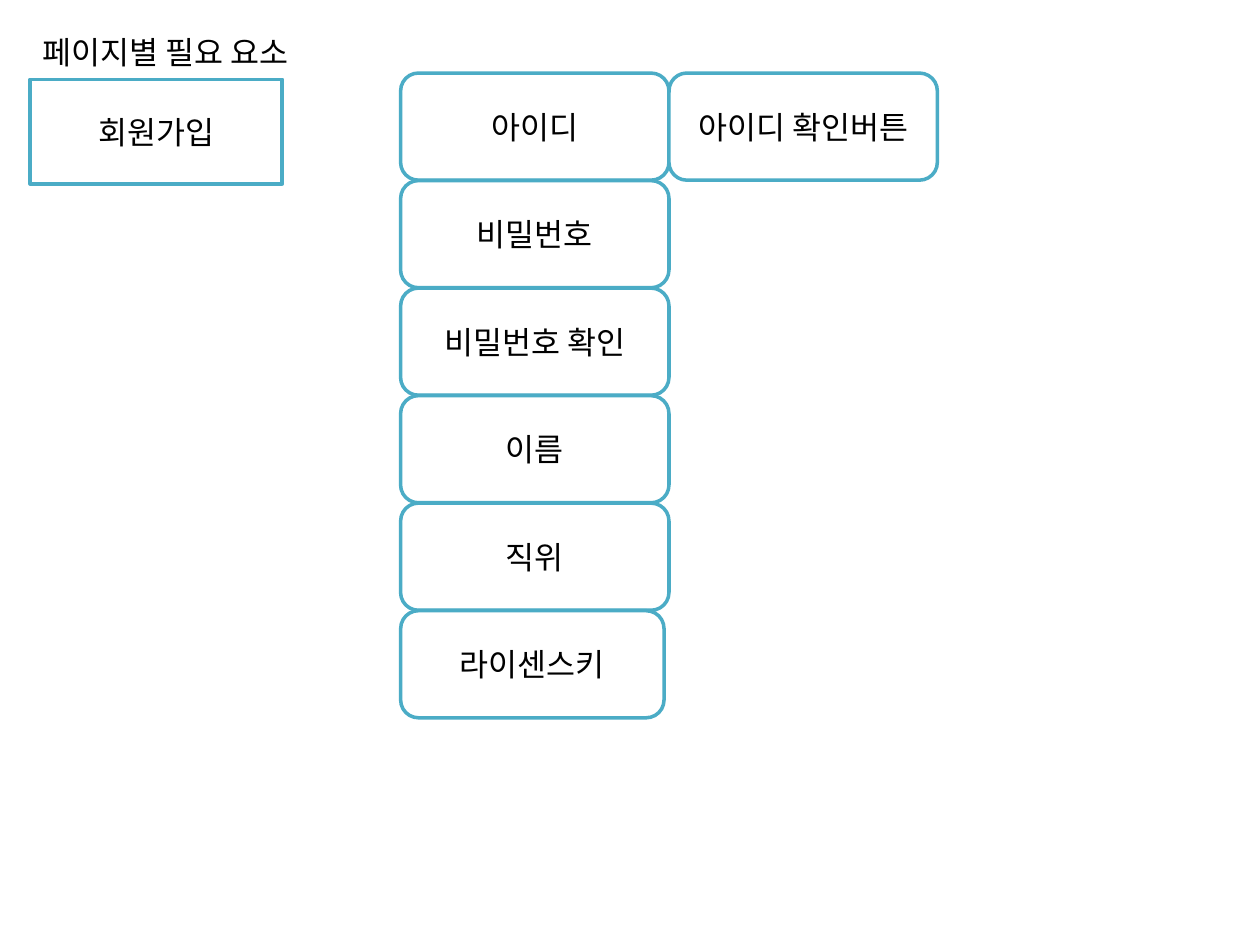
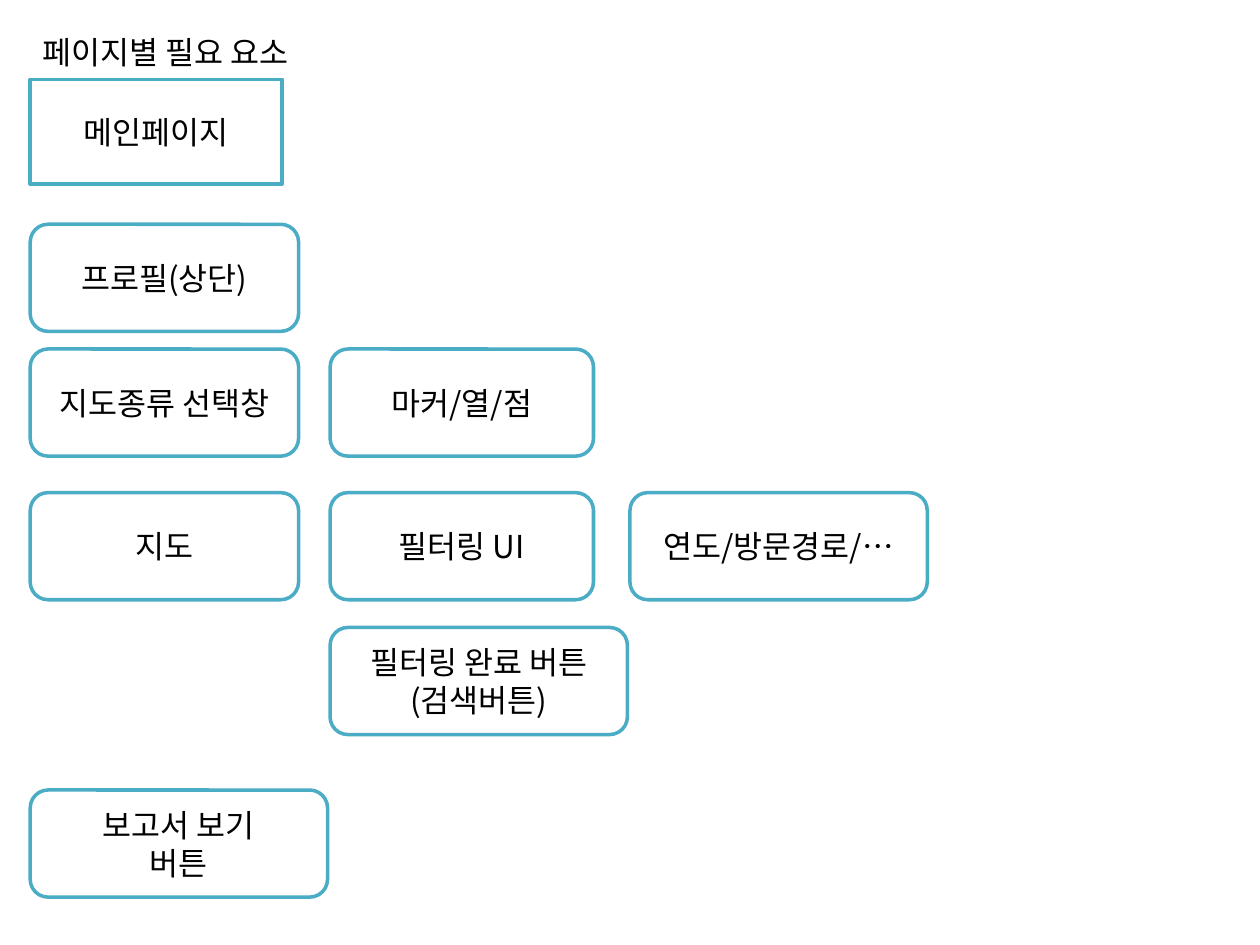
"""Builds two slides that list the elements each page needs."""
from collections import namedtuple

from lxml.etree import SubElement
from pptx import Presentation
from pptx.dml.color import RGBColor
from pptx.enum.shapes import MSO_SHAPE
from pptx.enum.text import MSO_ANCHOR, MSO_AUTO_SIZE, PP_ALIGN
from pptx.oxml.ns import qn
from pptx.util import Inches, Pt

Box = namedtuple("Box", "left top width height")

GRID = Inches(0.1)
COLUMNS, ROWS = 100, 75
FONT = "Noto Sans CJK KR"
TEXT, FILL, BORDER = "000000", "FFFFFF", "4BACC6"
HEADING = "페이지별 필요 요소"
HEADING_BOX = Box(2.4, 2.1, 32.6, 4)
PAGE_BOX = Box(2.4, 6.3, 20, 8.3)
CARD_WIDTH, CARD_HEIGHT = 21.3, 8.5
WIDE_CARD, NARROW_CARD = 23.6, 20.9

FIELDS = ["아이디", "비밀번호", "비밀번호 확인", "이름", "직위", "라이센스키"]
ELEMENT_ROWS = [
    (0, [(0, CARD_WIDTH, "프로필(상단)")]),
    (9.9, [(0, CARD_WIDTH, "지도종류 선택창"), (1, NARROW_CARD, "마커/열/점")]),
    (21.3, [(0, CARD_WIDTH, "지도"), (1, NARROW_CARD, "필터링 UI"),
            (2, WIDE_CARD, "연도/방문경로/…")]),
    (32, [(1, WIDE_CARD, "필터링 완료 버튼(검색버튼)")]),
    (44.9, [(0, WIDE_CARD, "보고서 보기\n버튼")]),
]


def color(value):
    """Return the colour for a hex string."""
    return RGBColor.from_string(value)


def lengths(box):
    """Return the grid box as slide lengths."""
    return [round(part * GRID) for part in box]


def write(frame, text, alignment, anchor):
    """Write each line of the text as a formatted paragraph."""
    frame.word_wrap = True
    frame.vertical_anchor = anchor
    for index, line in enumerate(text.split("\n")):
        paragraph = frame.add_paragraph() if index else frame.paragraphs[0]
        paragraph.alignment = alignment
        run = paragraph.add_run()
        run.text = line
        run.font.size = Pt(18)
        run.font.color.rgb = color(TEXT)
        run.font.name = FONT
        SubElement(run.font._element, qn("a:ea"), typeface=FONT)


def add_card(slide, box, text, preset=MSO_SHAPE.ROUNDED_RECTANGLE):
    """Add an outlined card with centred text."""
    shape = slide.shapes.add_shape(preset, *lengths(box))
    shape.shadow.inherit = False
    shape.fill.solid()
    shape.fill.fore_color.rgb = color(FILL)
    shape.line.color.rgb = color(BORDER)
    shape.line.width = Pt(2)
    write(shape.text_frame, text, PP_ALIGN.CENTER, MSO_ANCHOR.MIDDLE)


def add_page(presentation, name):
    """Add a slide with the shared heading and the page name."""
    slide = presentation.slides.add_slide(presentation.slide_layouts[5])
    title = slide.shapes.title
    title.left, title.top, title.width, title.height = lengths(HEADING_BOX)
    write(title.text_frame, HEADING, PP_ALIGN.LEFT, MSO_ANCHOR.TOP)
    title.text_frame.auto_size = MSO_AUTO_SIZE.SHAPE_TO_FIT_TEXT
    add_card(slide, PAGE_BOX, name, MSO_SHAPE.RECTANGLE)
    return slide


def place_fields(slide, box):
    """Stack the sign-up fields and set the check button beside the first."""
    pitch = box.height / len(FIELDS)
    for index, field in enumerate(FIELDS):
        width = NARROW_CARD if field == FIELDS[-1] else box.width
        top = box.top + index * pitch
        add_card(slide, Box(box.left, top, width, CARD_HEIGHT), field)
    button = Box(box.left + box.width, box.top, box.width, CARD_HEIGHT)
    add_card(slide, button, "아이디 확인버튼")


def place_elements(slide, box):
    """Place the main page elements in rows of up to three columns."""
    pitch = box.width / 3
    for offset, cards in ELEMENT_ROWS:
        for column, width, text in cards:
            left = box.left + column * pitch
            add_card(slide, Box(left, box.top + offset, width, CARD_HEIGHT), text)


def main():
    """Build and save the presentation."""
    presentation = Presentation()
    presentation.slide_width = COLUMNS * GRID
    presentation.slide_height = ROWS * GRID
    place_fields(add_page(presentation, "회원가입"), Box(31.8, 5.8, CARD_WIDTH, 51.2))
    place_elements(add_page(presentation, "메인페이지"), Box(2.4, 17.8, 71.4, 53.4))
    presentation.save("out.pptx")


main()
